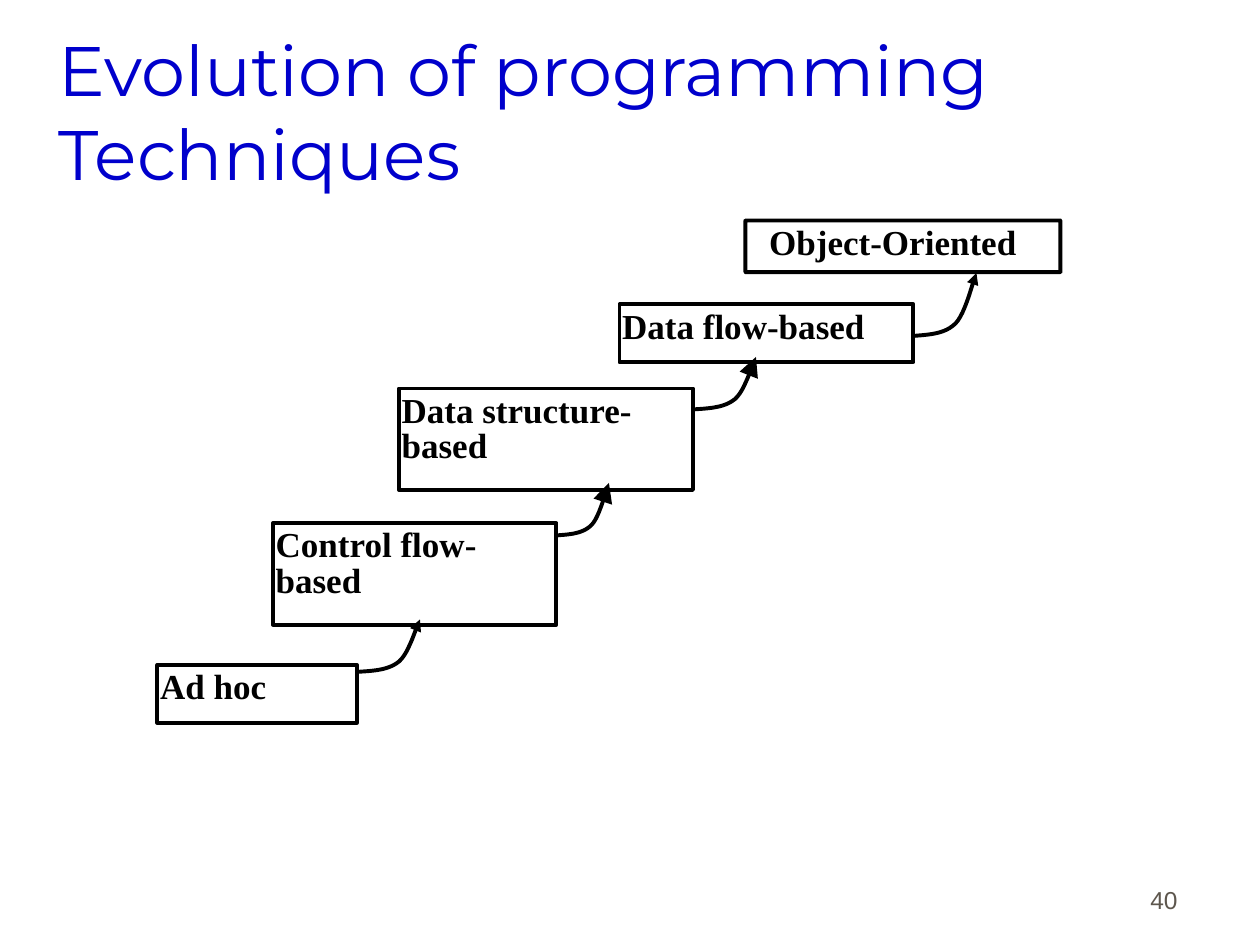
from lxml.etree import SubElement
from pptx import Presentation
from pptx.dml.color import RGBColor
from pptx.enum.shapes import MSO_SHAPE as Shape
from pptx.enum.text import MSO_ANCHOR as Anchor, PP_ALIGN as Align
from pptx.oxml.ns import qn
from pptx.util import Pt

BLACK = "000000"
BOXES = [
    ("Ad hoc", 90, 380, 114, 33),
    ("Data flow-based", 354, 174, 168, 33),
    ("Data structure-based", 228, 222, 168, 58),
    ("Control flow-based", 156, 299, 162, 58),
]
ARROWS = [
    (204, 354, 36, 30, "med"),
    (522, 156, 36, 36, "med"),
    (396, 204, 36, 30, "lg"),
    (318, 276, 30, 30, "lg"),
]
CURVE = [
    ((0, 1), (0.25, 0.98), (0.5, 0.97), (0.67, 0.8)),
    ((0.67, 0.8), (0.83, 0.63), (0.94, 0.14), (1, 0)),
]
STEPS = 12


def color(value):
    """Turn a hex string into a colour."""
    return RGBColor.from_string(value)


def write(sp, text, font, size, ink, inset=1.5, anchor=Anchor.TOP, align=Align.LEFT):
    """Fill a shape with one wrapped paragraph and return it."""
    tf = sp.text_frame
    tf.word_wrap = True
    tf.vertical_anchor = anchor
    tf.margin_left = tf.margin_right = Pt(inset)
    tf.margin_top = tf.margin_bottom = Pt(3.6)
    p = tf.paragraphs[0]
    p.text = text
    p.alignment = align
    p.font.name, p.font.size = font, Pt(size)
    p.font.color.rgb = color(ink)
    return p


def write_label(sp, text):
    """Write the name of a technique in bold."""
    p = write(sp, text, "Times New Roman", 20, BLACK)
    p.font.bold = True
    p.line_spacing = 0.85


def outline(sp):
    """Give a shape a black line, no fill and no shadow."""
    sp.shadow.inherit = False
    sp.fill.background()
    sp.line.color.rgb = color(BLACK)
    sp.line.width = Pt(2.25)


def add_text_box(s, x, y, w, h):
    """Add an empty text box."""
    return s.shapes.add_textbox(Pt(x), Pt(y), Pt(w), Pt(h))


def add_box(s, kind, x, y, w, h):
    """Add an outlined box."""
    sp = s.shapes.add_shape(kind, Pt(x), Pt(y), Pt(w), Pt(h))
    outline(sp)
    return sp


def bezier(points, t):
    """Return the point at t on a cubic curve."""
    weights = ((1 - t) ** 3, 3 * t * (1 - t) ** 2, 3 * t * t * (1 - t), t ** 3)
    return tuple(sum(k * v for k, v in zip(weights, axis)) for axis in zip(*points))


def add_curved_arrow(s, x, y, w, h, head):
    """Draw a curve that rises to an arrowhead at the top right."""
    points = [
        (Pt(x + w * u), Pt(y + h * v))
        for part in CURVE
        for u, v in (bezier(part, i / STEPS) for i in range(1, STEPS + 1))
    ]
    builder = s.shapes.build_freeform(Pt(x), Pt(y + h))
    builder.add_line_segments(points, close=False)
    sp = builder.convert_to_shape()
    outline(sp)
    line = sp.line._get_or_add_ln()
    SubElement(line, qn("a:round"))
    SubElement(line, qn("a:tailEnd"), type="triangle", w=head, len=head)


def main():
    """Build the slide."""
    prs = Presentation()
    prs.slide_width, prs.slide_height = Pt(720), Pt(540)
    s = prs.slides.add_slide(prs.slide_layouts[6])
    write(add_text_box(s, 530, 490, 150, 36), "40", "Arial", 14, "5E574E",
          7.2, Anchor.BOTTOM, Align.RIGHT)
    write(add_text_box(s, 32, 18, 612, 90), "Evolution of programming Techniques",
          "Montserrat", 40, "0000CC", anchor=Anchor.MIDDLE)
    write_label(add_text_box(s, 438, 126, 168, 31), "Object-Oriented")
    for text, *place in BOXES:
        write_label(add_box(s, Shape.RECTANGLE, *place), text)
    add_box(s, Shape.ROUNDED_RECTANGLE, 426, 126, 180, 29.5).adjustments[0] = 0.004
    for arrow in ARROWS:
        add_curved_arrow(s, *arrow)
    prs.save("out.pptx")


if __name__ == "__main__":
    main()
